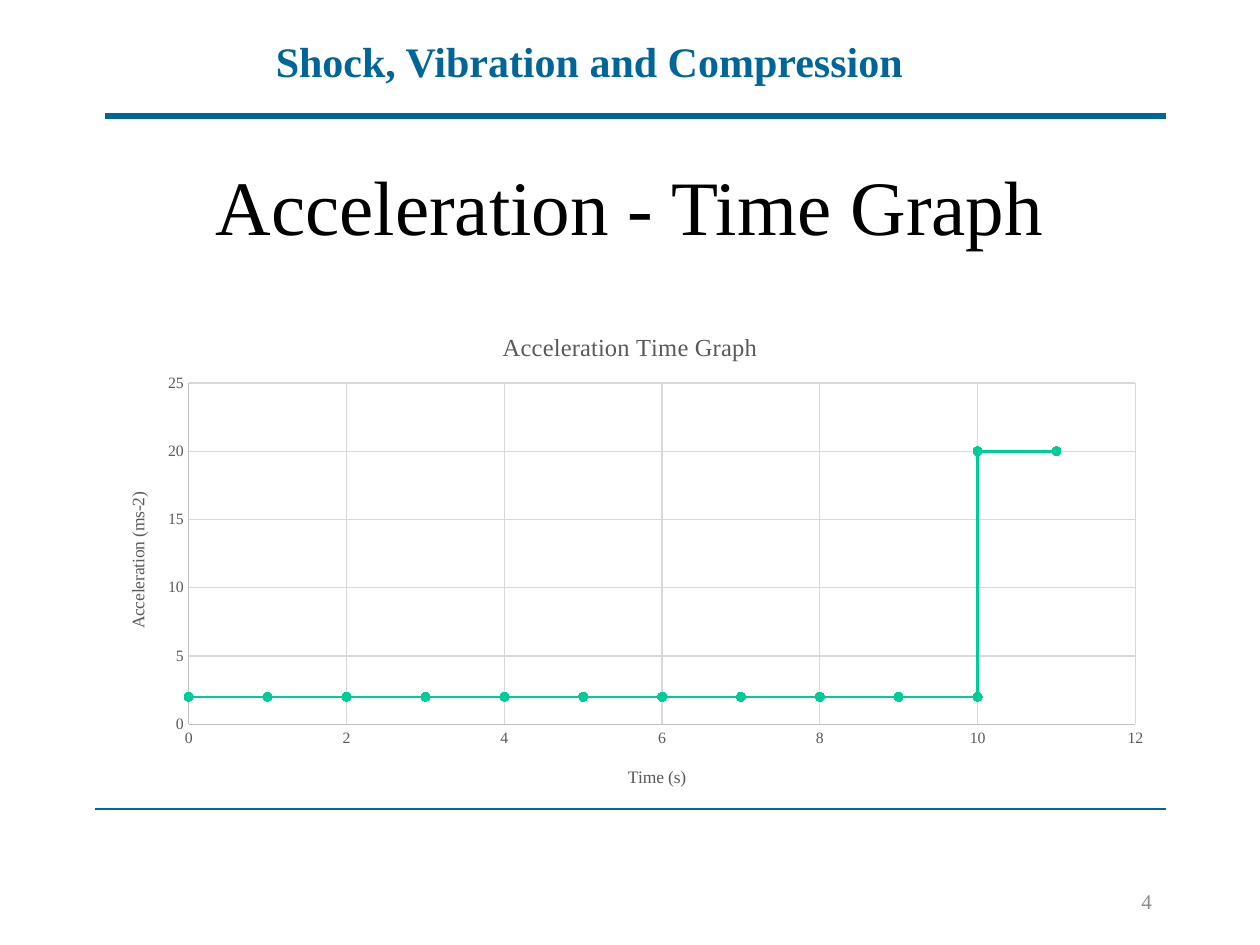
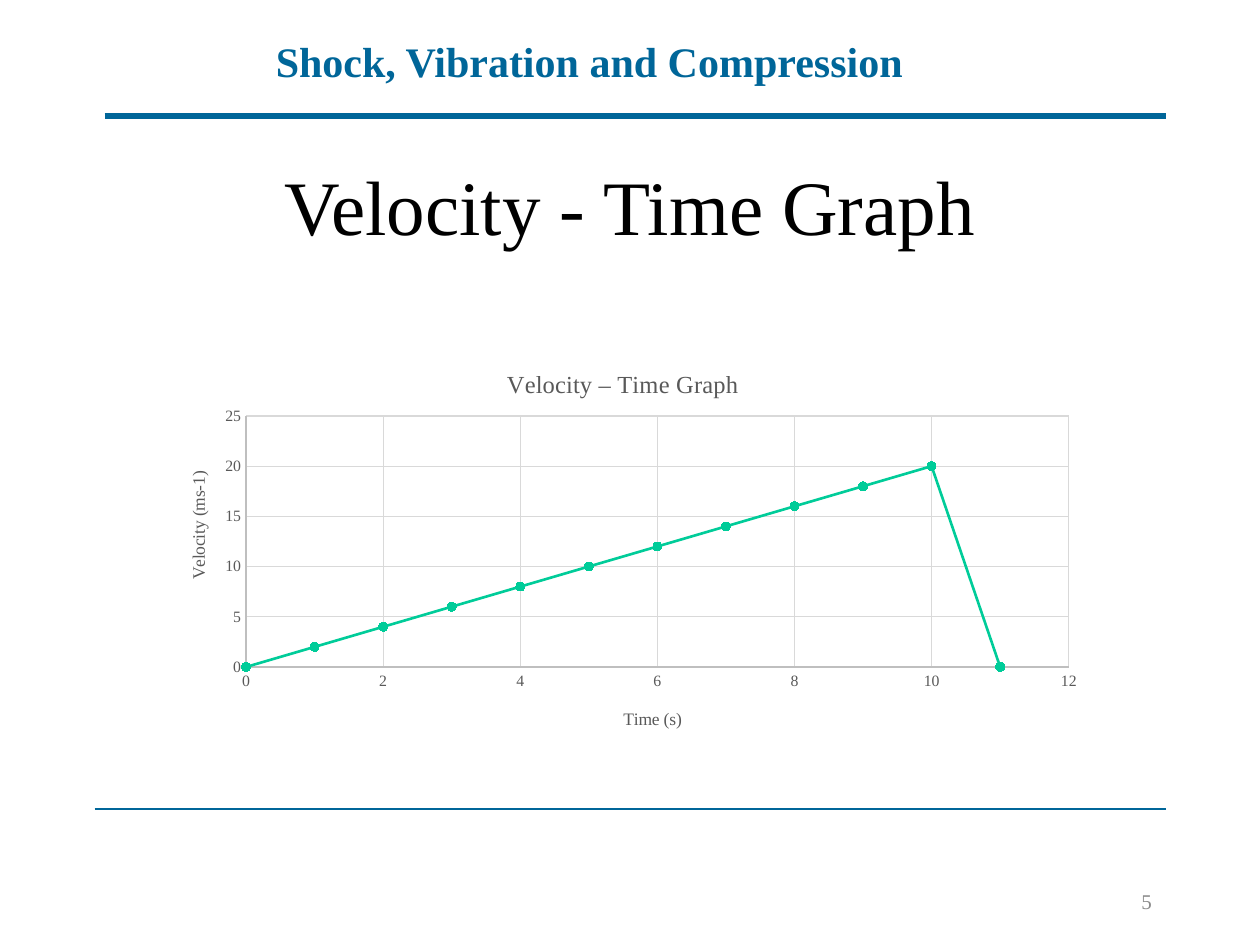
import lxml.etree
import pptx
import pptx.chart.data
import pptx.dml.color
import pptx.enum.chart
import pptx.enum.shapes
import pptx.enum.text
import pptx.oxml.ns
import pptx.util
from dataclasses import dataclass


@dataclass(frozen=True)
class Theme:
    font: str = "Times New Roman"
    accent: str = "006699"
    title: str = "000000"
    number: str = "8C8C8C"
    chart_text: str = "595959"
    axis: str = "BFBFBF"
    grid: str = "D9D9D9"
    series: str = "00CC99"
    header_size: float = 24
    title_size: float = 44
    number_size: float = 12
    chart_title_size: float = 14
    axis_title_size: float = 10
    tick_size: float = 9


theme = Theme()
qn = pptx.oxml.ns.qn
Inches, Pt = pptx.util.Inches, pptx.util.Pt
RGB = pptx.dml.color.RGBColor.from_string
ALIGN = pptx.enum.text.PP_ALIGN
ANCHOR = pptx.enum.text.MSO_ANCHOR


def style_font(font, size, color, bold=False):
    font.name, font.size, font.bold = theme.font, Pt(size), bold
    font.color.rgb = RGB(color)


def set_layout(element, index, **shares):
    """Place a chart part by shares of the chart's size."""
    for old in element.findall(qn("c:layout")):
        element.remove(old)
    layout = lxml.etree.Element(qn("c:layout"))
    manual = lxml.etree.SubElement(layout, qn("c:manualLayout"))
    if "w" in shares:
        lxml.etree.SubElement(manual, qn("c:layoutTarget")).set("val", "inner")
    for side in ("x", "y"):
        lxml.etree.SubElement(manual, qn(f"c:{side}Mode")).set("val", "edge")
    for name, share in shares.items():
        lxml.etree.SubElement(manual, qn(f"c:{name}")).set("val", str(share))
    element.insert(index, layout)


graphs = [
    dict(title="Acceleration - Time Graph", number=4,
         chart_title="Acceleration Time Graph", value_title="Acceleration (ms-2)",
         points=[(time, 2) for time in range(11)] + [(10, 20), (11, 20)],
         box=(0.75, 2.42, 8.5, 4), plot=(0.088, 0.155, 0.884, 0.677),
         title_at=(0.377, 0.044), value_at=(0.027, 0.365), time_at=(0.495, 0.907)),
    dict(title="Velocity - Time Graph", number=5,
         chart_title="Velocity – Time Graph", value_title="Velocity (ms-1)",
         points=[(time, 2 * time) for time in range(11)] + [(11, 0)],
         box=(1.22, 2.73, 7.48, 3.23), plot=(0.098, 0.177, 0.873, 0.617),
         title_at=(0.37, 0.048), value_at=(0.032, 0.305), time_at=(0.495, 0.885)),
]

presentation = pptx.Presentation()
presentation.slide_width, presentation.slide_height = Inches(10), Inches(7.5)
margin, right = 0.75, 9.25

for graph in graphs:
    slide = presentation.slides.add_slide(presentation.slide_layouts[5])

    # Header and slide number
    for text, box, size, color, bold, align, anchor in [
        ("Shock, Vibration and Compression", (2.09, 0.23, 5.28, 0.5),
         theme.header_size, theme.accent, True, ALIGN.LEFT, ANCHOR.TOP),
        (str(graph["number"]), (8.07, 6.95, 1.17, 0.4),
         theme.number_size, theme.number, False, ALIGN.RIGHT, ANCHOR.MIDDLE),
    ]:
        frame = slide.shapes.add_textbox(*map(Inches, box)).text_frame
        frame.word_wrap, frame.vertical_anchor = True, anchor
        frame.text = text
        frame.paragraphs[0].alignment = align
        style_font(frame.paragraphs[0].runs[0].font, size, color, bold)

    # Rules above and below the content
    for left, top, width in [(0.83, 0.92, 3), (margin, 6.42, 0.75)]:
        rule = slide.shapes.add_connector(
            pptx.enum.shapes.MSO_CONNECTOR.STRAIGHT,
            Inches(left), Inches(top), Inches(right), Inches(top))
        rule.line.color.rgb, rule.line.width = RGB(theme.accent), Pt(width)
        properties = rule.element.find(qn("p:spPr"))
        lxml.etree.SubElement(properties, qn("a:effectLst"))

    # Title
    title = slide.shapes.title
    title.left, title.top = Inches(margin), Inches(1)
    title.width, title.height = Inches(right - margin), Inches(1.25)
    title.text_frame.text = graph["title"]
    title.text_frame.vertical_anchor = ANCHOR.MIDDLE
    title.text_frame.paragraphs[0].alignment = ALIGN.CENTER
    style_font(title.text_frame.paragraphs[0].runs[0].font, theme.title_size, theme.title)

    # Chart
    data = pptx.chart.data.XyChartData()
    points = data.add_series("Series 1")
    for time, value in graph["points"]:
        points.add_data_point(time, value)
    chart = slide.shapes.add_chart(
        pptx.enum.chart.XL_CHART_TYPE.XY_SCATTER_LINES,
        *map(Inches, graph["box"]), data).chart
    chart.has_legend = False
    style_font(chart.font, theme.axis_title_size, theme.title)
    chart.plots[0].vary_by_categories = False
    set_layout(chart.element.find(".//" + qn("c:plotArea")), 0,
               **dict(zip("xywh", graph["plot"])))

    # Series line and markers
    series = chart.plots[0].series[0]
    series.smooth = False
    series.format.line.color.rgb = RGB(theme.series)
    series.format.line.width = Pt(1.5)
    series.marker.style = pptx.enum.chart.XL_MARKER_STYLE.CIRCLE
    series.marker.size = 5
    series.marker.format.fill.solid()
    series.marker.format.fill.fore_color.rgb = RGB(theme.series)
    series.marker.format.line.color.rgb = RGB(theme.series)

    # Axes
    for axis, maximum, step in [(chart.category_axis, 12, 2), (chart.value_axis, 25, 5)]:
        axis.minimum_scale, axis.maximum_scale, axis.major_unit = 0, maximum, step
        axis.major_tick_mark = axis.minor_tick_mark = pptx.enum.chart.XL_TICK_MARK.NONE
        axis.has_major_gridlines = True
        style_font(axis.tick_labels.font, theme.tick_size, theme.chart_text)
        for line, color in [(axis.format.line, theme.axis),
                            (axis.major_gridlines.format.line, theme.grid)]:
            line.color.rgb, line.width = RGB(color), Pt(0.75)

    # Chart and axis titles
    for heading, text, size, place in [
        (chart.chart_title, graph["chart_title"], theme.chart_title_size, graph["title_at"]),
        (chart.category_axis.axis_title, "Time (s)", theme.axis_title_size, graph["time_at"]),
        (chart.value_axis.axis_title, graph["value_title"], theme.axis_title_size,
         graph["value_at"]),
    ]:
        heading.text_frame.text = text
        style_font(heading.text_frame.paragraphs[0].runs[0].font, size, theme.chart_text)
        set_layout(heading.element, 1, **dict(zip("xy", place)))
    value_title = chart.value_axis.axis_title.element
    value_title.find(".//" + qn("a:bodyPr")).set("rot", "-5400000")

presentation.save("out.pptx")
